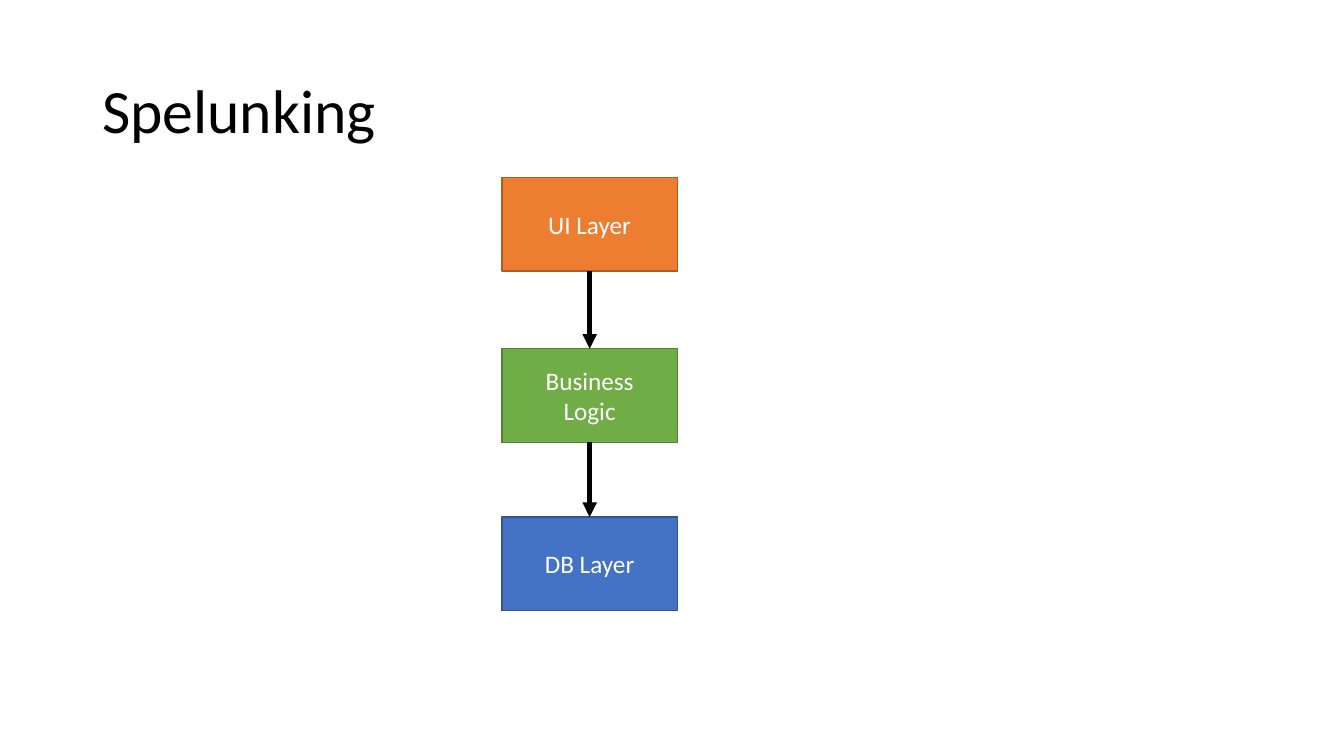
from itertools import pairwise

from lxml.etree import SubElement
from pptx import Presentation
from pptx.dml.color import RGBColor
from pptx.enum.shapes import MSO_CONNECTOR, MSO_SHAPE
from pptx.enum.text import MSO_ANCHOR, PP_ALIGN
from pptx.oxml.ns import qn
from pptx.util import Cm, Pt

BLACK = RGBColor(0x00, 0x00, 0x00)
WHITE = RGBColor(0xFF, 0xFF, 0xFF)
ORANGE = RGBColor(0xED, 0x7D, 0x31)
DARK_ORANGE = RGBColor(0xAF, 0x5C, 0x24)
GREEN = RGBColor(0x70, 0xAD, 0x47)
DARK_GREEN = RGBColor(0x53, 0x80, 0x35)
BLUE = RGBColor(0x44, 0x72, 0xC4)
DARK_BLUE = RGBColor(0x32, 0x54, 0x91)

# Layer boxes, in cm
BOX_LEFT, BOX_WIDTH, BOX_HEIGHT = 12.65, 4.42, 2.36
LAYERS = [
    (4.47, ["UI Layer"], ORANGE, DARK_ORANGE),
    (8.79, ["Business", "Logic"], GREEN, DARK_GREEN),
    (13.03, ["DB Layer"], BLUE, DARK_BLUE),
]


class SlideBuilder:
    font = "Calibri"

    def __init__(self, slide):
        self.s = slide

    def add_text(self, tf, lines, size, color, align, spacing=1.0):
        tf.word_wrap = True
        tf.vertical_anchor = MSO_ANCHOR.MIDDLE
        for i, line in enumerate(lines):
            p = tf.add_paragraph() if i else tf.paragraphs[0]
            p.alignment = align
            p.line_spacing = spacing
            r = p.add_run()
            r.text = line
            r.font.name = self.font
            r.font.size = Pt(size)
            r.font.color.rgb = color

    def title(self, text, left, top, width, height):
        sp = self.s.shapes.add_textbox(Cm(left), Cm(top), Cm(width), Cm(height))
        self.add_text(sp.text_frame, [text], 44, BLACK, PP_ALIGN.LEFT, 0.9)

    def box(self, top, lines, fill, border):
        sp = self.s.shapes.add_shape(
            MSO_SHAPE.RECTANGLE, Cm(BOX_LEFT), Cm(top), Cm(BOX_WIDTH), Cm(BOX_HEIGHT))
        sp.shadow.inherit = False
        sp.fill.solid()
        sp.fill.fore_color.rgb = fill
        sp.line.color.rgb = border
        sp.line.width = Pt(1)
        self.add_text(sp.text_frame, lines, 18, WHITE, PP_ALIGN.CENTER)

    def down_arrow(self, x, start, end):
        sp = self.s.shapes.add_connector(
            MSO_CONNECTOR.STRAIGHT, Cm(x), Cm(start), Cm(x), Cm(end))
        sp.line.color.rgb = BLACK
        sp.line.width = Pt(3.5)
        props = sp.element.spPr
        SubElement(props.find(qn("a:ln")), qn("a:tailEnd"), type="triangle")
        SubElement(props, qn("a:effectLst"))


def main():
    prs = Presentation()
    prs.slide_width, prs.slide_height = Cm(33.87), Cm(19.05)
    builder = SlideBuilder(prs.slides.add_slide(prs.slide_layouts[6]))

    # Title
    builder.title("Spelunking", 2.33, 1.01, 29.21, 3.68)

    # Layers from top to bottom
    for layer in LAYERS:
        builder.box(*layer)

    # Arrows from each layer to the next
    for upper, lower in pairwise(LAYERS):
        builder.down_arrow(BOX_LEFT + BOX_WIDTH / 2, upper[0] + BOX_HEIGHT, lower[0])

    prs.save("out.pptx")


if __name__ == "__main__":
    main()
